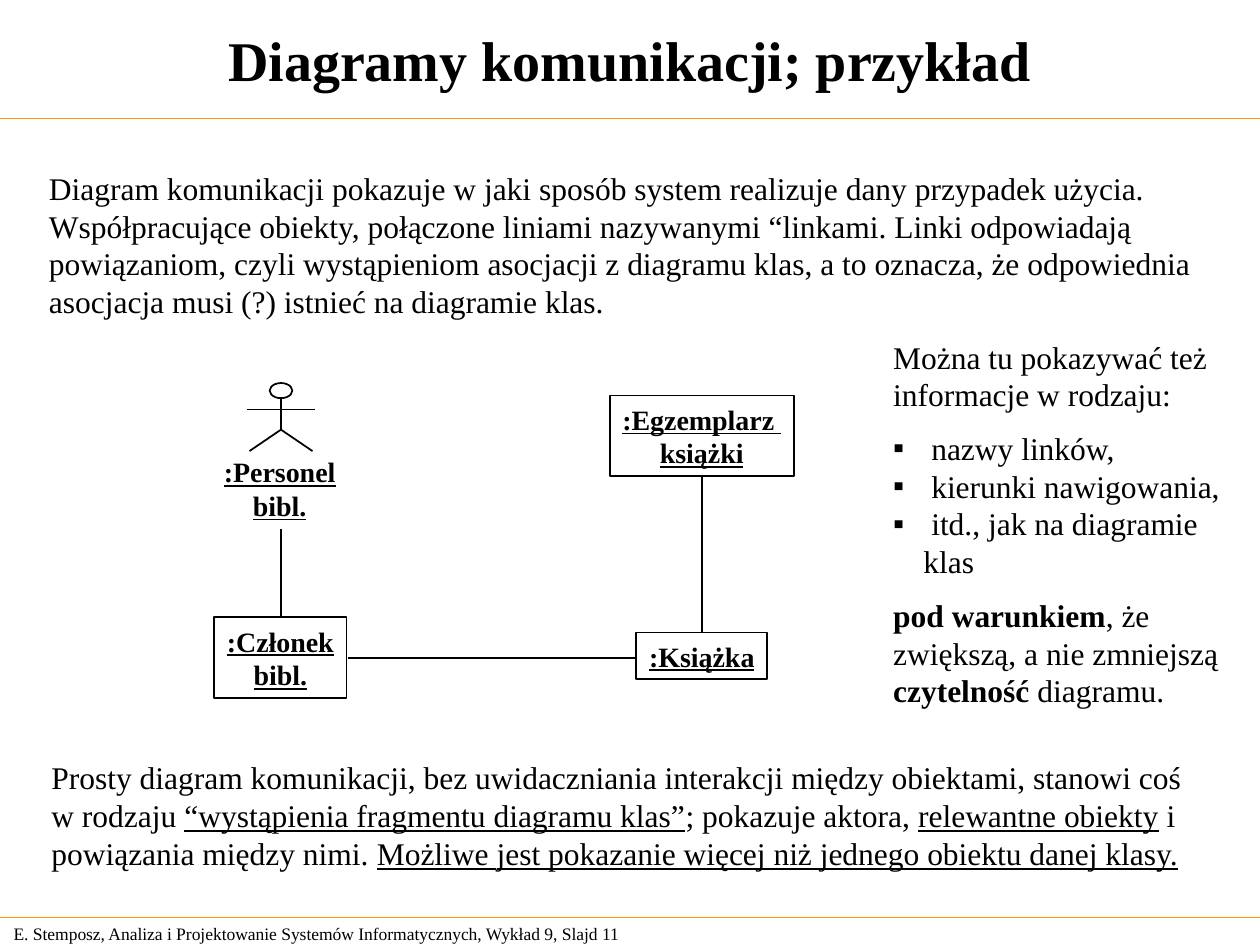
from dataclasses import dataclass

from lxml.etree import SubElement
from pptx import Presentation
from pptx.dml.color import RGBColor
from pptx.enum.shapes import MSO_CONNECTOR, MSO_SHAPE
from pptx.enum.text import MSO_ANCHOR, MSO_AUTO_SIZE, PP_ALIGN
from pptx.oxml.ns import qn
from pptx.util import Inches, Pt

FONT = "Times New Roman"
BLACK = "000000"
ORANGE = "FF9900"


@dataclass
class Run:
    text: str
    bold: bool = False
    under: bool = False


@dataclass
class Para:
    runs: list[Run]
    before: float = 0
    bullet: bool = False


@dataclass
class Box:
    left: float
    top: float
    width: float
    height: float
    lines: list[str]
    frame: bool = True


@dataclass
class Line:
    x1: float
    y1: float
    x2: float
    y2: float
    color: str = BLACK
    weight: float = 1


def paint(color: str) -> RGBColor:
    return RGBColor.from_string(color)


def style(run, size: float, bold: bool = False, under: bool = False) -> None:
    font = run.font
    font.name, font.size = FONT, Pt(size)
    font.bold, font.underline = bold, under
    font.color.rgb = paint(BLACK)


def mark(para) -> None:
    """Give a paragraph a square bullet and a hanging indent."""
    props = para._p.get_or_add_pPr()
    props.set("marL", str(Inches(0.24)))
    props.set("indent", str(-Inches(0.24)))
    color = SubElement(props, qn("a:buClr"))
    SubElement(color, qn("a:srgbClr")).set("val", BLACK)
    SubElement(props, qn("a:buFont")).set("typeface", FONT)
    SubElement(props, qn("a:buChar")).set("char", "▪")


def fill(frame, paras: list[Para], size: float, align=PP_ALIGN.LEFT) -> None:
    for i, item in enumerate(paras):
        para = frame.paragraphs[0] if i == 0 else frame.add_paragraph()
        para.alignment = align
        para.space_before = Pt(item.before)
        if item.bullet:
            mark(para)
        for part in item.runs:
            run = para.add_run()
            run.text = part.text
            style(run, size, part.bold, part.under)


def add_text(slide, left: float, top: float, width: float, height: float,
             paras: list[Para], size: float = 18) -> None:
    box = slide.shapes.add_textbox(
        Inches(left), Inches(top), Inches(width), Inches(height))
    box.text_frame.word_wrap = True
    fill(box.text_frame, paras, size)


def add_shape(slide, kind, left: float, top: float, width: float,
              height: float, frame: bool = True):
    shape = slide.shapes.add_shape(
        kind, Inches(left), Inches(top), Inches(width), Inches(height))
    shape.shadow.inherit = False
    shape.fill.background()
    if frame:
        shape.line.color.rgb = paint(BLACK)
        shape.line.width = Pt(1)
    else:
        shape.line.fill.background()
    return shape


def add_box(slide, box: Box) -> None:
    shape = add_shape(slide, MSO_SHAPE.RECTANGLE, box.left, box.top,
                      box.width, box.height, box.frame)
    frame = shape.text_frame
    frame.word_wrap = False
    frame.vertical_anchor = MSO_ANCHOR.MIDDLE
    paras = [Para([Run(text, True, True)]) for text in box.lines]
    fill(frame, paras, 16, PP_ALIGN.CENTER)


def add_line(slide, line: Line) -> None:
    ends = (Inches(n) for n in (line.x1, line.y1, line.x2, line.y2))
    link = slide.shapes.add_connector(MSO_CONNECTOR.STRAIGHT, *ends)
    link.line.color.rgb = paint(line.color)
    link.line.width = Pt(line.weight)
    SubElement(link._element.spPr, qn("a:effectLst"))


INTRO = [Para([Run(
    "Diagram komunikacji pokazuje w jaki sposób system realizuje dany "
    "przypadek użycia. Współpracujące obiekty, połączone liniami nazywanymi "
    "“linkami. Linki odpowiadają powiązaniom, czyli wystąpieniom asocjacji z "
    "diagramu klas, a to oznacza, że odpowiednia asocjacja musi (?) istnieć "
    "na diagramie klas.")])]
SIDE = [
    Para([Run("Można tu pokazywać też")]),
    Para([Run("informacje w rodzaju:")]),
    Para([Run(" nazwy linków,")], before=9, bullet=True),
    Para([Run(" kierunki nawigowania,")], bullet=True),
    Para([Run(" itd., jak na diagramie klas")], bullet=True),
    Para([Run("pod warunkiem", bold=True), Run(", że")], before=9),
    Para([Run("zwiększą, a nie zmniejszą")]),
    Para([Run("czytelność", bold=True), Run(" diagramu.")]),
]
CLOSE = [Para([
    Run("Prosty diagram komunikacji, bez uwidaczniania interakcji między "
        "obiektami, stanowi coś w rodzaju "),
    Run("“wystąpienia fragmentu diagramu klas”", under=True),
    Run("; pokazuje aktora, "),
    Run("relewantne obiekty", under=True),
    Run(" i powiązania między nimi. "),
    Run("Możliwe", under=True),
    Run(" ", bold=True, under=True),
    Run("jest pokazanie więcej niż jednego obiektu danej klasy.", under=True),
])]
FOOT = [Para([Run("E. Stemposz, Analiza i Projektowanie Systemów "
                  "Informatycznych, Wykład 9, Slajd 11")])]
BOXES = [
    Box(1.68, 3.56, 1.08, 0.63, [":Personel", "bibl."], frame=False),
    Box(1.7, 4.9, 1.05, 0.64, [":Członek", "bibl."]),
    Box(5.05, 5.02, 1.04, 0.37, [":Książka"]),
    Box(4.84, 3.14, 1.46, 0.64, [":Egzemplarz ", "książki"]),
]
AXIS = 2.23  # centre of the actor
LINES = [
    # Rules under the title and above the footer
    *(Line(0, y, 10, y, ORANGE, 0.75) for y in (0.94, 7.28)),
    # Links between objects
    Line(2.76, 5.22, 5.04, 5.22),
    Line(AXIS, 4.2, AXIS, 4.89),
    Line(5.57, 3.78, 5.57, 5.02),
    # Body, arms and legs of the actor
    Line(AXIS, 3.17, AXIS, 3.41),
    Line(AXIS - 0.27, 3.25, AXIS + 0.27, 3.25),
    *(Line(AXIS, 3.41, AXIS + dx, 3.58) for dx in (0.25, -0.25)),
]


def main() -> None:
    deck = Presentation()
    deck.slide_width, deck.slide_height = Inches(10), Inches(7.5)
    slide = deck.slides.add_slide(deck.slide_layouts[5])

    # Title
    title = slide.shapes.title
    title.left, title.top = Inches(0.04), Inches(0.04)
    title.width, title.height = Inches(9.92), Inches(0.85)
    frame = title.text_frame
    frame.text = "Diagramy komunikacji; przykład"
    frame.auto_size = MSO_AUTO_SIZE.NONE
    frame.vertical_anchor = MSO_ANCHOR.MIDDLE
    frame.paragraphs[0].alignment = PP_ALIGN.CENTER
    style(frame.paragraphs[0].runs[0], 32, bold=True)

    # Texts
    add_text(slide, 0.29, 1.29, 9.38, 1.3, INTRO)
    add_text(slide, 6.99, 2.63, 2.85, 2.77, SIDE)
    add_text(slide, 0.31, 5.97, 9.33, 1, CLOSE)
    add_text(slide, 0.01, 7.28, 5.24, 0.27, FOOT, 10)

    # Diagram
    for box in BOXES:
        add_box(slide, box)
    for line in LINES:
        add_line(slide, line)
    add_shape(slide, MSO_SHAPE.OVAL, AXIS - 0.09, 3.04, 0.18, 0.12)

    deck.save("out.pptx")


if __name__ == "__main__":
    main()
